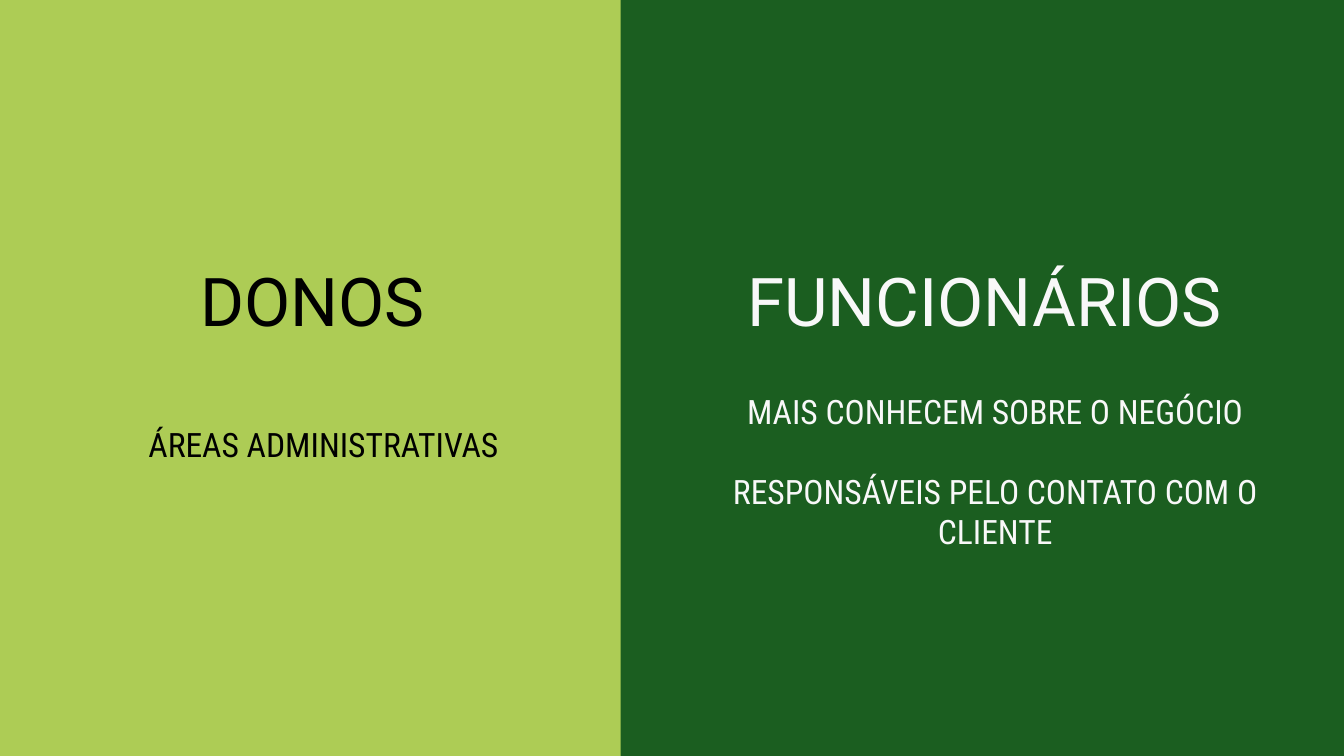
from lxml import etree
from pptx import Presentation
from pptx.dml.color import RGBColor
from pptx.enum import shapes, text
from pptx.oxml import ns
from pptx.util import Cm, Pt

LIME = RGBColor(0xAD, 0xCC, 0x55)
GREEN = RGBColor(0x1B, 0x5E, 0x20)
BLACK = RGBColor(0, 0, 0)
PALE = RGBColor(0xF8, 0xF8, 0xF8)


def fill_placeholder(box, place, margins, lines, font, size, color):
    """Place a placeholder and set its centred, unbulleted paragraphs."""
    box.left, box.top, box.width, box.height = [Cm(length) for length in place]
    frame = box.text_frame
    frame.word_wrap = True
    frame.auto_size = text.MSO_AUTO_SIZE.NONE
    frame.vertical_anchor = text.MSO_ANCHOR.TOP
    (frame.margin_left, frame.margin_top,
     frame.margin_right, frame.margin_bottom) = [Cm(m) for m in margins]
    frame.text = "\n".join(lines)
    for number, para in enumerate(frame.paragraphs):
        properties = para._p.get_or_add_pPr()
        properties.set("marL", "0")
        properties.set("indent", "0")
        etree.SubElement(properties, ns.qn("a:buNone"))
        para.alignment = text.PP_ALIGN.CENTER
        para.space_before = Pt(21 if number else 0)
        para.font.name = font
        para.font.size = Pt(size)
        para.font.bold = False
        para.font.color.rgb = color


deck = Presentation()
deck.slide_width, deck.slide_height = Cm(25.4), Cm(14.29)
page = deck.slides.add_slide(deck.slide_layouts.get_by_name("Comparison"))
holders = {box.placeholder_format.idx: box for box in page.placeholders}

# Background panels, moved behind the placeholders
for layer, (left, width, color) in enumerate([(0, 12.7, LIME), (11.73, 13.67, GREEN)]):
    panel = page.shapes.add_shape(
        shapes.MSO_SHAPE.RECTANGLE, Cm(left), 0, Cm(width), deck.slide_height)
    panel.shadow.inherit = False
    panel.fill.solid()
    panel.fill.fore_color.rgb = color
    panel.line.fill.background()
    page.shapes._spTree.insert(2 + layer, panel._element)

# Heading holder, heading left, list holder, list place, colour, heading, list
columns = [
    (0, 0.2, 2, (0.69, 7.77, 10.85, 1.57), BLACK,
     "DONOS", ["ÁREAS ADMINISTRATIVAS"]),
    (1, 12.9, 4, (12.75, 7.14, 12.12, 4.39), PALE,
     "FUNCIONÁRIOS", ["MAIS CONHECEM SOBRE O NEGÓCIO",
                      "RESPONSÁVEIS PELO CONTATO COM O CLIENTE"]),
]
for heading_id, left, list_id, place, color, heading, lines in columns:
    fill_placeholder(holders[heading_id], (left, 4.47, 11.84, 1.88),
                     (0.25, 0.43, 0.67, 0), [heading], "Roboto", 36, color)
    fill_placeholder(holders[list_id], place, (0.25,) * 4,
                     lines, "Roboto Condensed", 18, color)

unused = holders[3]._element
unused.getparent().remove(unused)

deck.save("out.pptx")
